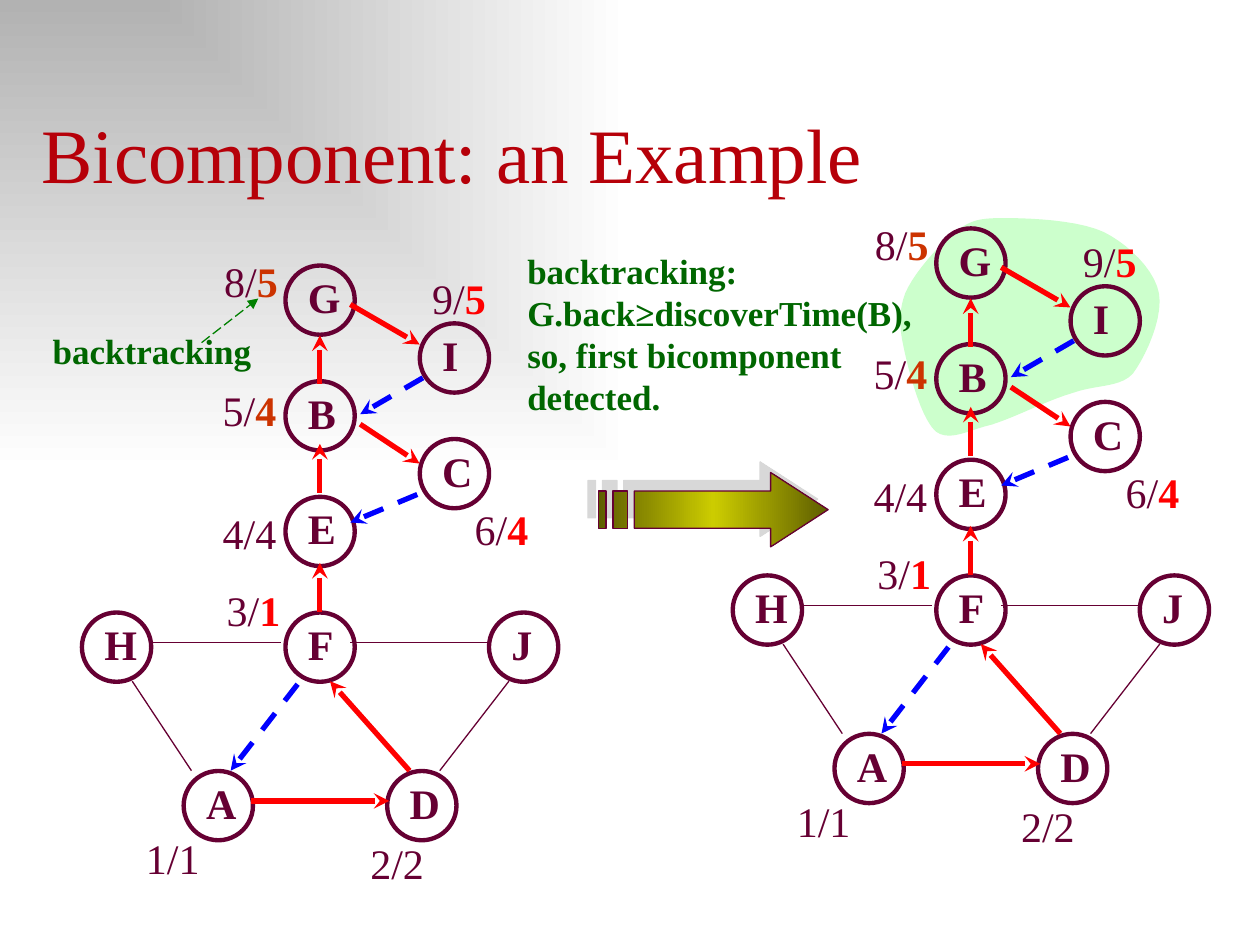
from lxml import etree
from pptx import Presentation
from pptx.dml.color import RGBColor
from pptx.enum.dml import MSO_LINE
from pptx.enum.shapes import MSO_CONNECTOR, MSO_SHAPE
from pptx.enum.text import MSO_ANCHOR
from pptx.oxml import parse_xml
from pptx.oxml.ns import nsdecls, qn
from pptx.util import Pt

DASH, LONG = MSO_LINE.DASH, MSO_LINE.LONG_DASH
OVAL = MSO_SHAPE.OVAL
LINE = MSO_CONNECTOR.STRAIGHT
TOP, BASE = MSO_ANCHOR.TOP, MSO_ANCHOR.BOTTOM

FONT = "Times New Roman"
PLUM, RED, BLUE, RUST, GREEN = "660033", "FF0000", "0000FF", "CC3300", "006600"

SIZE, COL, ROW = 39.6, 58.15, 66.1
NODES = {
    "G": (2, 0), "B": (2, 1), "E": (2, 2), "F": (2, 3), "I": (3.32, 0.5),
    "C": (3.32, 1.5), "H": (0, 3), "J": (4, 3), "A": (1, 4.37), "D": (3, 4.37),
}
PLAIN = dict(color=PLUM, width=0.75)
TREE = dict(color=RED, width=3, tail="stealth")
CLIMB = dict(color=RED, width=3, head="stealth")
BACK = dict(color=BLUE, width=3, dash=DASH, head="stealth")
EDGES = [
    (CLIMB, [(136, 40, 136, 68), (136, 102, 136, 130), (136, 170, 136, 198),
             (141.8, 237.6, 187.2, 288.7)]),
    (TREE, [(153.4, 22.3, 193, 45.2), (159, 90.7, 193, 113.2),
            (96.5, 306, 175.7, 306)]),
    (BACK, [(159, 85, 198.7, 62), (153.4, 146.9, 193, 130.3),
            (85, 288.7, 124.6, 237.6)]),
    (PLAIN, [(39.6, 215.3, 113.8, 215.3), (153.4, 215.3, 232.6, 215.3),
             (28.8, 237.6, 62.6, 288.7), (204.5, 288.7, 244, 237.6)]),
]
MARKS = [
    ("1/1", "", PLUM, 29.5, 320.4), ("3/", "1", RED, 75.6, 178.6),
    ("4/4", "", PLUM, 73.4, 134.6), ("5/", "4", RUST, 73.4, 64.4),
    ("2/2", "", PLUM, 157.7, 323.3), ("8/", "5", RUST, 74.2, -9.4),
    ("9/", "5", RED, 193, 0.7), ("6/", "4", RED, 217.4, 132.5),
]
BLOB = [
    (61, 0), (47, 0, 42, 1, 33, 8), (24, 15, 9, 32, 4.5, 43),
    (0, 55, 1.5, 65, 4.5, 78), (7.5, 91, 14, 115, 22, 122),
    (30, 128, 41, 121, 54, 118), (67, 114, 86, 104, 100, 100),
    (114, 95, 127, 97, 134.5, 89), (142, 79, 152, 57, 149.5, 43),
    (147, 29.5, 132, 15, 118, 8), (103, 1, 75, 0, 61, 0),
]


def rgb(code):
    return RGBColor.from_string(code)


def text(slide, words, box, size=24, color=PLUM, bold=False, anchor=TOP,
         tail="", accent=PLUM):
    frame = slide.shapes.add_textbox(*map(Pt, box)).text_frame
    frame.word_wrap = True
    frame.vertical_anchor = anchor
    para = frame.paragraphs[0]
    for part, shade, heavy in ((words, color, bold), (tail, accent, True)):
        if part:
            run = para.add_run()
            run.text = part
            run.font.name, run.font.size = FONT, Pt(size)
            run.font.bold = heavy
            run.font.color.rgb = rgb(shade)


def edge(slide, ends, color, width, dash=None, head=None, tail=None):
    link = slide.shapes.add_connector(LINE, *map(Pt, ends))
    link.line.color.rgb = rgb(color)
    link.line.width = Pt(width)
    if dash:
        link.line.dash_style = dash
    stroke = link.line._get_or_add_ln()
    for tag, kind in (("a:headEnd", head), ("a:tailEnd", tail)):
        if kind:
            etree.SubElement(stroke, qn(tag), type=kind)
    etree.SubElement(link.element.spPr, qn("a:effectLst"))


def blend(solid, stops, shape):
    marks = "".join(
        f'<a:gs pos="{at * 1000}"><a:srgbClr val="{code}"/></a:gs>'
        for at, code in stops)
    grad = parse_xml(f'<a:gradFill {nsdecls("a")} rotWithShape="1">'
                     f'<a:gsLst>{marks}</a:gsLst>{shape}</a:gradFill>')
    solid.getparent().replace(solid, grad)


def ground(slide):
    slide.background.fill.solid()
    solid = slide.element.xpath(".//p:bgPr/a:solidFill")[0]
    blend(solid, [(0, "B2B2B2"), (100, "FFFFFF")],
          '<a:path path="rect"><a:fillToRect r="100000" b="100000"/></a:path>')


def outline(slide, rings, left, top):
    place = [[(Pt(left + x), Pt(top + y)) for x, y in ring] for ring in rings]
    draft = slide.shapes.build_freeform(*place[0][0], scale=1.0)
    for count, ring in enumerate(place):
        if count:
            draft.move_to(*ring[0])
        draft.add_line_segments(ring[1:], close=True)
    shape = draft.convert_to_shape()
    shape.shadow.inherit = False
    shape.fill.solid()
    return shape


def blob(slide, left, top, steps=10):
    dots = [BLOB[0]]
    for ax, ay, bx, by, cx, cy in BLOB[1:]:
        px, py = dots[-1]
        for step in range(1, steps + 1):
            t = step / steps
            u = 1 - t
            dots.append(tuple(
                u**3 * p + 3 * u * u * t * a + 3 * u * t * t * b + t**3 * c
                for p, a, b, c in ((px, ax, bx, cx), (py, ay, by, cy))))
    shape = outline(slide, [dots[:-1]], left, top)
    shape.fill.fore_color.rgb = rgb("CCFFCC")
    shape.line.fill.background()


def arrow(slide, left, top):
    high, low, tall = 14.7, 44.3, 59
    shaft, neck, tip = 28.4, 136.7, 182.3
    rings = [[(neck, 0), (neck, high), (shaft, high), (shaft, low),
              (neck, low), (neck, tall), (tip, tall / 2)]]
    rings = [[(x * 0.72, y * 0.72) for x, y in rings[0]]]
    for start, end in ((8.4, 16.6), (0, 4.3)):
        rings.append([(start, high * 0.72), (start, low * 0.72),
                      (end, low * 0.72), (end, high * 0.72)])
    shape = outline(slide, rings, left, top)
    blend(shape.element.xpath("./p:spPr/a:solidFill")[0],
          [(0, "5E5E00"), (50, "CCCC00"), (100, "5E5E00")],
          '<a:lin ang="0" scaled="1"/>')
    shape.line.color.rgb = rgb(PLUM)
    shape.line.width = Pt(0.75)
    shape.element.spPr.find(qn("a:effectLst")).append(parse_xml(
        f'<a:outerShdw {nsdecls("a")} dist="{Pt(8.5)}" dir="13500000" '
        'algn="ctr" rotWithShape="0"><a:srgbClr val="B2B2B2">'
        '<a:alpha val="50000"/></a:srgbClr></a:outerShdw>'))


def graph(slide, left, top):
    for name, (col, row) in NODES.items():
        x, y = left + col * COL, top + row * ROW
        ring = slide.shapes.add_shape(OVAL, *map(Pt, (x, y, SIZE, SIZE)))
        ring.shadow.inherit = False
        ring.fill.background()
        ring.line.color.rgb = rgb(PLUM)
        ring.line.width = Pt(2.5)
        text(slide, name, (x + 5.7, y, 34, 36), bold=True)
    for style, group in EDGES:
        for x1, y1, x2, y2 in group:
            edge(slide, (left + x1, top + y1, left + x2, top + y2), **style)
    for words, low, accent, x, y in MARKS:
        text(slide, words, (left + x, top + y, 106.5, 36),
             tail=low, accent=accent)


def main():
    deck = Presentation()
    deck.slide_width, deck.slide_height = Pt(720), Pt(540)
    slide = deck.slides.add_slide(deck.slide_layouts[6])
    ground(slide)
    blob(slide, 512.8, 124.6)
    text(slide, "Bicomponent: an Example", (16.6, 57.6, 680.4, 59.8),
         size=44, color="B60009", anchor=BASE)
    graph(slide, 46.8, 151.7)
    text(slide, "backtracking", (23, 185, 311.8, 31),
         size=20, color=GREEN, bold=True)
    edge(slide, (115.2, 195.8, 147.6, 170.6), "008000", 0.75,
         dash=LONG, tail="triangle")
    graph(slide, 418.7, 130.5)
    text(slide, "backtracking: G.back≥discoverTime(B), so, first bicomponent "
         "detected.", (294.2, 139, 240, 103), size=20, color=GREEN, bold=True)
    arrow(slide, 342, 270)
    deck.save("out.pptx")


if __name__ == "__main__":
    main()
